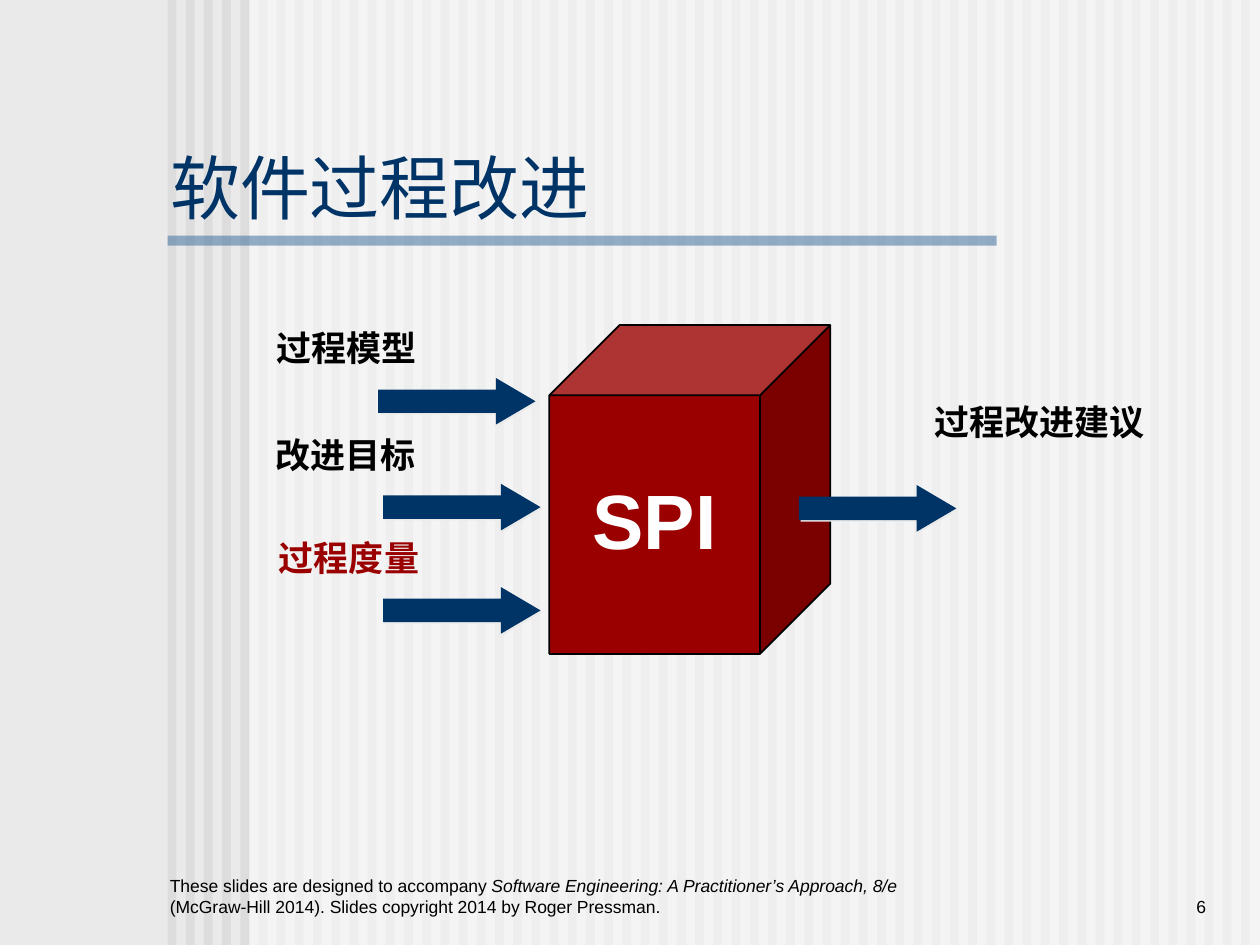
from lxml.etree import SubElement
from pptx import Presentation
from pptx.dml.color import RGBColor
from pptx.enum.shapes import MSO_SHAPE
from pptx.enum.text import MSO_ANCHOR, PP_ALIGN
from pptx.oxml.ns import qn
from pptx.util import Inches, Pt

NAVY, RED, BLACK, PALE = "003366", "9A0000", "000000", "EAEAEA"


def add_filled(kind, left, top, width, height, color, opacity=100):
    shape = slide.shapes.add_shape(kind, Inches(left), Inches(top), Inches(width), Inches(height))
    shape.shadow.inherit = False
    shape.line.fill.background()
    shape.fill.solid()
    shape.fill.fore_color.rgb = RGBColor.from_string(color)
    if opacity < 100:
        color_element = shape.fill._xPr.find(qn("a:solidFill"))[0]
        SubElement(color_element, qn("a:alpha"), val=str(opacity * 1000))
    return shape


def format_paragraph(paragraph, size, color, alignment, bold=False):
    paragraph.alignment = alignment
    paragraph.font.name = "Arial"
    paragraph.font.size = Pt(size)
    paragraph.font.bold = bold
    paragraph.font.color.rgb = RGBColor.from_string(color)


presentation = Presentation()
presentation.slide_width = Inches(10)
presentation.slide_height = Inches(7.5)
slide = presentation.slides.add_slide(presentation.slide_layouts[5])
slide.background.fill.solid()
slide.background.fill.fore_color.rgb = RGBColor.from_string(PALE)

stripe_count = 60
stripe_step = (9.85 - 1.33) / (stripe_count - 1)
for index in range(stripe_count):
    add_filled(MSO_SHAPE.RECTANGLE, 1.33 + index * stripe_step, 0, 0.07, 7.5, "DDDDDD")
add_filled(MSO_SHAPE.RECTANGLE, 1.98, 0, 8.02, 7.5, "FFFFFF", 50)
add_filled(MSO_SHAPE.RECTANGLE, 1.33, 1.87, 6.58, 0.08, "336699", 50)

title = slide.shapes.title
title.element.getparent().append(title.element)
title.left, title.top, title.width, title.height = Inches(1.25), Inches(1.17), Inches(8.33), Inches(0.69)
title.text_frame.text = "软件过程改进"
title.text_frame.vertical_anchor = MSO_ANCHOR.BOTTOM
format_paragraph(title.text_frame.paragraphs[0], 40, NAVY, PP_ALIGN.LEFT)

footer_runs = [
    ("These slides are designed to accompany ", False),
    ("Software Engineering: A Practitioner’s Approach, 8/e ", True),
    ("(McGraw-Hill 2014). Slides copyright 2014 by Roger Pressman.", False),
]
for left, width, alignment, runs in [
    (8.25, 1.42, PP_ALIGN.RIGHT, [("6", False)]),
    (1.25, 6, PP_ALIGN.LEFT, footer_runs),
]:
    footer = slide.shapes.add_textbox(Inches(left), Inches(6.83), Inches(width), Inches(0.5))
    footer.text_frame.word_wrap = True
    footer.text_frame.vertical_anchor = MSO_ANCHOR.BOTTOM
    paragraph = footer.text_frame.paragraphs[0]
    format_paragraph(paragraph, 10, BLACK, alignment)
    for text, italic in runs:
        run = paragraph.add_run()
        run.text = text
        run.font.italic = italic

cube = add_filled(MSO_SHAPE.CUBE, 4.36, 2.58, 2.23, 2.61, RED)
cube.adjustments[0] = 0.25
cube.line.color.rgb = RGBColor.from_string(BLACK)
cube.line.width = Pt(1)
cube.text_frame.text = "SPI"
cube.text_frame.word_wrap = False
cube.text_frame.vertical_anchor = MSO_ANCHOR.MIDDLE
format_paragraph(cube.text_frame.paragraphs[0], 44, "FFFFFF", PP_ALIGN.CENTER, True)
cube.text_frame.paragraphs[0].line_spacing = 0.9

flows = [
    ("过程模型", BLACK, 1.67, 2.58, 2.16, 3, 3),
    ("改进目标", BLACK, 1.69, 3.43, 2.1, 3.04, 3.84),
    ("过程度量", RED, 1.83, 4.25, 1.88, 3.04, 4.66),
    ("过程改进建议", BLACK, 7.3, 3.17, 1.9, 6.34, 3.85),
]
for text, color, left, top, width, arrow_left, arrow_top in flows:
    arrow = add_filled(MSO_SHAPE.RIGHT_ARROW, arrow_left, arrow_top, 1.25, 0.37, NAVY)
    arrow.adjustments[0] = 0.5
    arrow.adjustments[1] = 0.85
    effects = arrow.element.spPr.find(qn("a:effectLst"))
    shadow = SubElement(effects, qn("a:outerShdw"), dist=str(Pt(1.4)), dir="2700000", algn="ctr", rotWithShape="0")
    SubElement(shadow, qn("a:srgbClr"), val=PALE)

    label = slide.shapes.add_textbox(Inches(left), Inches(top), Inches(width), Inches(0.4))
    label.text_frame.word_wrap = True
    label.text_frame.text = text
    format_paragraph(label.text_frame.paragraphs[0], 20, color, PP_ALIGN.CENTER, True)
    label.text_frame.paragraphs[0].line_spacing = 0.9

presentation.save("out.pptx")
